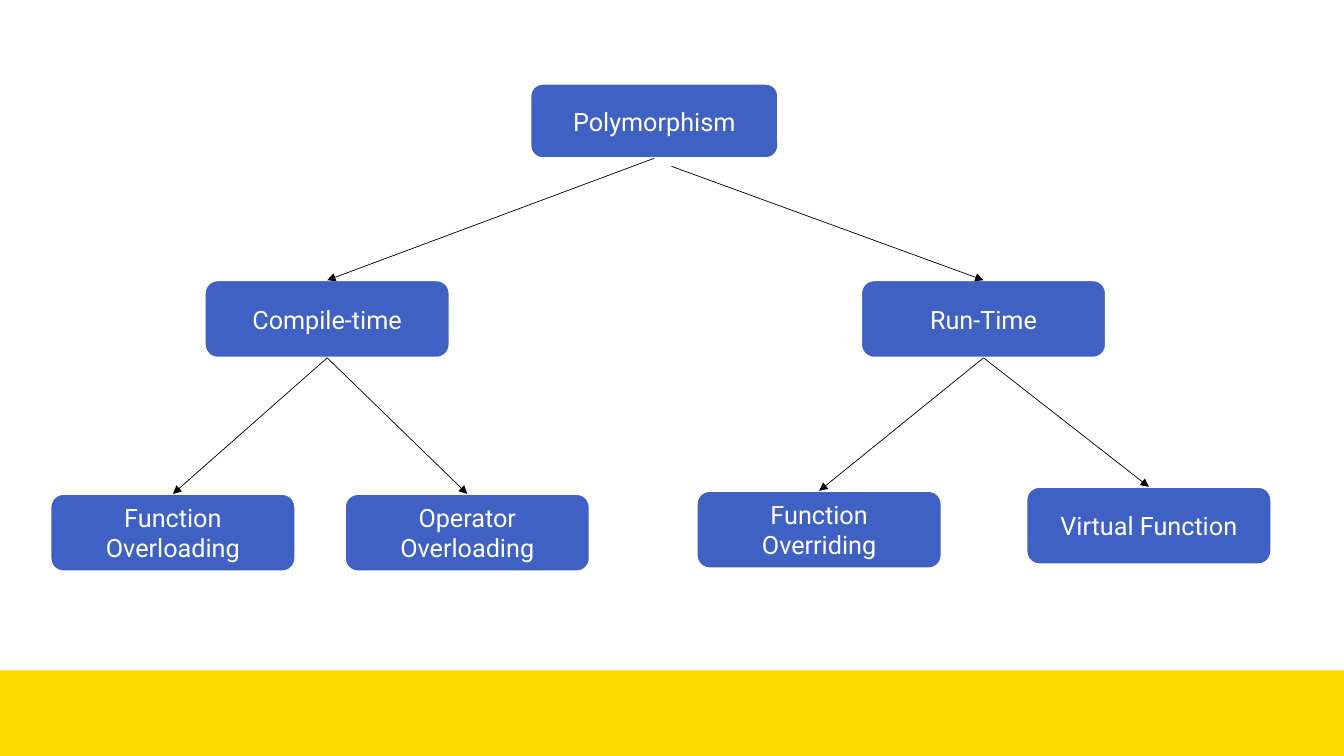
from pptx import Presentation
from pptx.dml.color import RGBColor
from pptx.enum.shapes import MSO_CONNECTOR, MSO_SHAPE
from pptx.enum.text import MSO_ANCHOR, PP_ALIGN
from pptx.oxml.ns import qn
from pptx.util import Inches, Pt
from lxml import etree

BLUE = RGBColor(0x3F, 0x61, 0xC4)
YELLOW = RGBColor(0xFF, 0xDC, 0x00)
WHITE = RGBColor(0xFF, 0xFF, 0xFF)
BLACK = RGBColor(0x00, 0x00, 0x00)
TOP_SITE, BOTTOM_SITE = 0, 2

deck = Presentation()
deck.slide_width, deck.slide_height = Inches(13.33), Inches(7.5)
slide = deck.slides.add_slide(deck.slide_layouts[6])

footer_bar = slide.shapes.add_shape(
    MSO_SHAPE.RECTANGLE, 0, Inches(6.65), deck.slide_width, Inches(0.85))
footer_bar.shadow.inherit = False
footer_bar.fill.solid()
footer_bar.fill.fore_color.rgb = YELLOW
footer_bar.line.fill.background()

# Label, left, top, width, height
NODES = [
    ("Polymorphism", 5.26, 0.83, 2.46, 0.74),
    ("Compile-time", 2.03, 2.78, 2.43, 0.77),
    ("Run-Time", 8.54, 2.78, 2.43, 0.77),
    ("Operator Overloading", 3.42, 4.9, 2.43, 0.77),
    ("Function Overloading", 0.5, 4.9, 2.43, 0.77),
    ("Virtual Function", 10.18, 4.83, 2.43, 0.77),
    ("Function Overriding", 6.91, 4.87, 2.43, 0.77),
]
boxes = {}
for label, *bounds in NODES:
    box = slide.shapes.add_shape(
        MSO_SHAPE.ROUNDED_RECTANGLE, *[Inches(length) for length in bounds])
    box.shadow.inherit = False
    box.fill.solid()
    box.fill.fore_color.rgb = BLUE
    box.line.color.rgb = WHITE
    box.line.width = Pt(1.5)
    frame = box.text_frame
    frame.word_wrap = True
    frame.vertical_anchor = MSO_ANCHOR.MIDDLE
    frame.text = label
    para = frame.paragraphs[0]
    para.alignment = PP_ALIGN.CENTER
    para.font.name = "Roboto"
    para.font.size = Pt(18)
    para.font.color.rgb = WHITE
    boxes[label] = box

BRANCHES = [
    ("Polymorphism", "Compile-time"),
    ("Polymorphism", "Run-Time"),
    ("Run-Time", "Function Overriding"),
    ("Run-Time", "Virtual Function"),
    ("Compile-time", "Function Overloading"),
    ("Compile-time", "Operator Overloading"),
]
for parent, child in BRANCHES:
    # The Run-Time arrow starts at a free point; the others are glued to their parent.
    arrow = slide.shapes.add_connector(
        MSO_CONNECTOR.STRAIGHT, Inches(6.66), Inches(1.65), 0, 0)
    if child != "Run-Time":
        arrow.begin_connect(boxes[parent], BOTTOM_SITE)
    arrow.end_connect(boxes[child], TOP_SITE)
    arrow.line.color.rgb = BLACK
    arrow.line.width = Pt(0.5)
    outline = arrow.line._get_or_add_ln()
    etree.SubElement(outline, qn("a:tailEnd"), type="triangle")
    etree.SubElement(arrow._element.spPr, qn("a:effectLst"))

deck.save("out.pptx")
